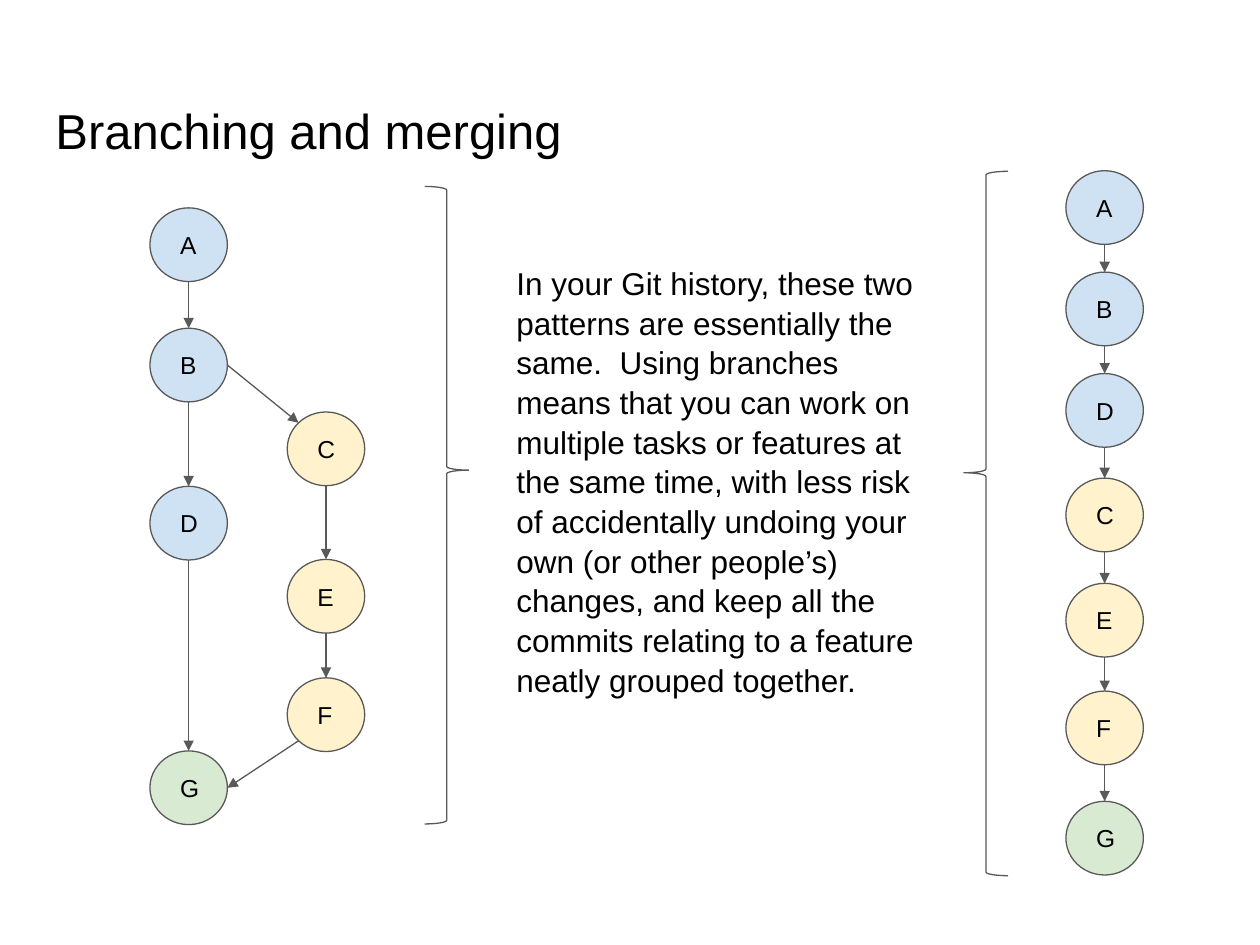
from math import sqrt

from lxml import etree
from pptx import Presentation
from pptx.dml.color import RGBColor
from pptx.enum.shapes import MSO_CONNECTOR, MSO_SHAPE
from pptx.enum.text import MSO_ANCHOR, PP_ALIGN
from pptx.oxml.ns import qn
from pptx.util import Inches, Pt

ELLIPSE = MSO_SHAPE.OVAL
LEFT_BRACE = MSO_SHAPE.LEFT_BRACE
RIGHT_BRACE = MSO_SHAPE.RIGHT_BRACE
STRAIGHT = MSO_CONNECTOR.STRAIGHT
TOP = MSO_ANCHOR.TOP
MIDDLE = MSO_ANCHOR.MIDDLE
LEFT = PP_ALIGN.LEFT

COLUMNS, ROWS = 100, 75
NODE_WIDTH, NODE_HEIGHT = 6.15, 5.85
DIAGONAL = 1 / sqrt(2)
SIDES = {
    "top": (0, -1),
    "bottom": (0, 1),
    "left": (-1, 0),
    "right": (1, 0),
    "top left": (-DIAGONAL, -DIAGONAL),
    "bottom left": (-DIAGONAL, DIAGONAL),
}

MAIN, FEATURE, MERGE = "CFE2F3", "FFF2CC", "D9EAD3"
COMMIT_FILLS = dict(A=MAIN, B=MAIN, D=MAIN, C=FEATURE, E=FEATURE, F=FEATURE, G=MERGE)

MAIN_COLUMN, FEATURE_COLUMN, LINEAR_COLUMN = 11.9, 22.8, 84.6
BRANCHED_COMMITS = {
    "A": (MAIN_COLUMN, 16.5),
    "B": (MAIN_COLUMN, 26.05),
    "C": (FEATURE_COLUMN, 32.7),
    "E": (FEATURE_COLUMN, 44.4),
    "D": (MAIN_COLUMN, 38.6),
    "F": (FEATURE_COLUMN, 53.8),
    "G": (MAIN_COLUMN, 59.6),
}
BRANCHED_LINKS = [
    ("A", "bottom", "B", "top"),
    ("B", "right", "C", "top left"),
    ("B", "bottom", "D", "top"),
    ("C", "bottom", "E", "top"),
    ("F", "bottom left", "G", "right"),
    ("D", "bottom", "G", "top"),
    ("E", "bottom", "F", "top"),
]
LINEAR_ROWS = [13.55, 21.6, 29.65, 37.95, 46.3, 54.85, 63.6]
LINEAR_COMMITS = {
    name: (LINEAR_COLUMN, row) for name, row in zip(COMMIT_FILLS, LINEAR_ROWS)
}
LINEAR_ORDER = list(COMMIT_FILLS)
LINEAR_LINKS = [
    (parent, "bottom", child, "top")
    for parent, child in zip(LINEAR_ORDER, LINEAR_ORDER[1:])
]
EXPLANATION = (
    "In your Git history, these two patterns are essentially the same.  "
    "Using branches means that you can work on multiple tasks or features at "
    "the same time, with less risk of accidentally undoing your own (or other "
    "people’s) changes, and keep all the commits relating to a feature neatly "
    "grouped together."
)


def color(hex_string):
    return RGBColor.from_string(hex_string)


class Page:
    font = "Arial"
    ink = "000000"
    stroke = "595959"
    stroke_width = 0.75
    inset = 0.1

    def __init__(self, deck):
        self.slide = deck.slides.add_slide(deck.slide_layouts[5])
        self.column = deck.slide_width / COLUMNS
        self.row = deck.slide_height / ROWS

    def place(self, left, top, width, height):
        return (round(left * self.column), round(top * self.row),
                round(width * self.column), round(height * self.row))

    def set_text(self, shape, text, size, anchor=TOP, spacing=1.0):
        frame = shape.text_frame
        frame.text = text
        frame.word_wrap = True
        frame.vertical_anchor = anchor
        frame.margin_left = frame.margin_right = Inches(self.inset)
        frame.margin_top = frame.margin_bottom = Inches(self.inset)
        para = frame.paragraphs[0]
        para.alignment = LEFT
        para.line_spacing = spacing
        font = para.runs[0].font
        font.name = self.font
        font.size = Pt(size)
        font.color.rgb = color(self.ink)

    def outline(self, item):
        item.line.color.rgb = color(self.stroke)
        item.line.width = Pt(self.stroke_width)

    def title(self, text, *area):
        title = self.slide.shapes.title
        title.left, title.top, title.width, title.height = self.place(*area)
        self.set_text(title, text, 28, spacing=1.1)

    def text(self, text, *area):
        box = self.slide.shapes.add_textbox(*self.place(*area))
        self.set_text(box, text, 18, spacing=1.05)

    def commit(self, name, left, top):
        area = self.place(left, top, NODE_WIDTH, NODE_HEIGHT)
        node = self.slide.shapes.add_shape(ELLIPSE, *area)
        node.shadow.inherit = False
        node.fill.solid()
        node.fill.fore_color.rgb = color(COMMIT_FILLS[name])
        self.outline(node)
        self.set_text(node, name, 14, MIDDLE)
        node.text_frame.margin_left = Inches(0.15)
        node.text_frame.margin_right = Inches(0.05)
        return node

    def side_point(self, node, side):
        across, down = SIDES[side]
        return (round(node.left + node.width * (1 + across) / 2),
                round(node.top + node.height * (1 + down) / 2))

    def arrow(self, parent, parent_side, child, child_side):
        start = self.side_point(parent, parent_side)
        end = self.side_point(child, child_side)
        link = self.slide.shapes.add_connector(STRAIGHT, *start, *end)
        if child_side == "top":
            link.end_connect(child, 0)
        self.outline(link)
        properties = link._element.spPr
        etree.SubElement(properties.get_or_add_ln(), qn("a:tailEnd"), type="triangle")
        etree.SubElement(properties, qn("a:effectLst"))

    def history(self, commits, links):
        nodes = {name: self.commit(name, *spot) for name, spot in commits.items()}
        for parent, parent_side, child, child_side in links:
            self.arrow(nodes[parent], parent_side, nodes[child], child_side)

    def brace(self, kind, tip, *area):
        brace = self.slide.shapes.add_shape(kind, *self.place(*area))
        brace.shadow.inherit = False
        brace.fill.background()
        brace.adjustments[0] = 0.083
        brace.adjustments[1] = tip
        self.outline(brace)


def main():
    deck = Presentation()
    deck.slide_width = Inches(10)
    deck.slide_height = Inches(7.5)
    page = Page(deck)
    page.title("Branching and merging", 3.4, 6.5, 93.2, 8.3)
    page.history(BRANCHED_COMMITS, BRANCHED_LINKS)
    page.history(LINEAR_COMMITS, LINEAR_LINKS)
    page.text(EXPLANATION, 40, 19.8, 33.7, 35.4)
    page.brace(RIGHT_BRACE, 0.445, 33.7, 14.8, 3.5, 50.6)
    page.brace(LEFT_BRACE, 0.428, 76.5, 13.6, 3.5, 55.9)
    deck.save("out.pptx")


if __name__ == "__main__":
    main()
